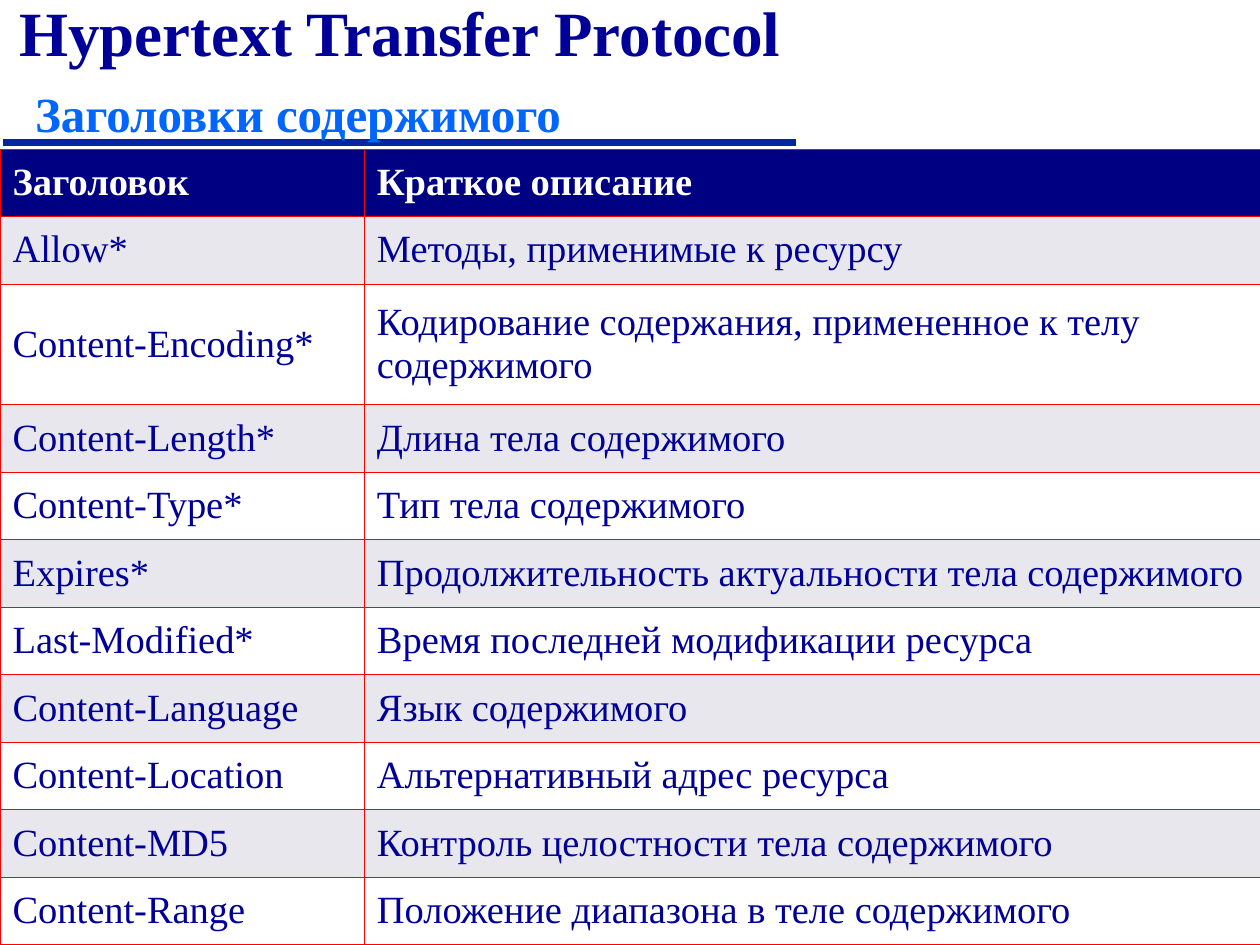
from lxml import etree
from pptx import Presentation
from pptx.dml.color import RGBColor
from pptx.enum import shapes, text
from pptx.oxml import ns
from pptx.util import Pt

FONT = "Times New Roman"
COLORS = {
    "title": "000099",
    "subtitle": "0066FF",
    "rule": "00279F",
    "header": "000082",
    "header_text": "FFFFFF",
    "band": "E7E7ED",
    "plain": "FFFFFF",
    "border": "FF0000",
}
BORDER_WIDTH = Pt(0.23)
HEADERS = [
    ("Заголовок", "Краткое описание"),
    ("Allow*", "Методы, применимые к ресурсу"),
    ("Content-Encoding*", "Кодирование содержания, примененное к телу\nсодержимого"),
    ("Content-Length*", "Длина тела содержимого"),
    ("Content-Type*", "Тип тела содержимого"),
    ("Expires*", "Продолжительность актуальности тела содержимого"),
    ("Last-Modified*", "Время последней модификации ресурса"),
    ("Content-Language", "Язык содержимого"),
    ("Content-Location", "Альтернативный адрес ресурса"),
    ("Content-MD5", "Контроль целостности тела содержимого"),
    ("Content-Range", "Положение диапазона в теле содержимого"),
]


def color(name):
    return RGBColor.from_string(COLORS[name])


def add_run(paragraph, wording, size, color_name, bold=False):
    run = paragraph.add_run()
    run.text = wording
    run.font.name = FONT
    run.font.size = Pt(size)
    run.font.bold = bold
    run.font.color.rgb = color(color_name)


def add_rule(slide, left, top, width):
    line = slide.shapes.add_connector(
        shapes.MSO_CONNECTOR.STRAIGHT, Pt(left), Pt(top), Pt(left + width), Pt(top))
    line.line.color.rgb = color("rule")
    line.line.width = Pt(4)
    etree.SubElement(line._element.spPr, ns.qn("a:effectLst"))


def add_title(slide, left, top, width, height):
    box = slide.shapes.add_textbox(Pt(left), Pt(top), Pt(width), Pt(height))
    frame = box.text_frame
    frame.word_wrap = True
    frame.vertical_anchor = text.MSO_ANCHOR.BOTTOM
    paragraph = frame.paragraphs[0]
    add_run(paragraph, "Hypertext Transfer Protocol", 36, "title", bold=True)
    paragraph.add_line_break()
    add_run(paragraph, " ", 36, "title", bold=True)
    add_run(paragraph, "Заголовки содержимого", 28, "subtitle", bold=True)


def set_borders(cell):
    properties = cell._tc.get_or_add_tcPr()
    for index, side in enumerate(("lnL", "lnR", "lnT", "lnB")):
        line = etree.Element(ns.qn(f"a:{side}"), w=str(BORDER_WIDTH))
        fill = etree.SubElement(line, ns.qn("a:solidFill"))
        etree.SubElement(fill, ns.qn("a:srgbClr"), val=COLORS["border"])
        properties.insert(index, line)


def fill_cell(cell, wording, fill_name, text_name, bold):
    cell.fill.solid()
    cell.fill.fore_color.rgb = color(fill_name)
    set_borders(cell)
    cell.vertical_anchor = text.MSO_ANCHOR.MIDDLE
    frame = cell.text_frame
    for index, line in enumerate(wording.split("\n")):
        paragraph = frame.add_paragraph() if index else frame.paragraphs[0]
        add_run(paragraph, line, 22, text_name, bold)


def add_header_table(slide, left, top, width, height):
    frame = slide.shapes.add_table(
        len(HEADERS), 2, Pt(left), Pt(top), Pt(width), Pt(height))
    table = frame.table
    name_width, tall_row = 208.2, 69
    table.columns[0].width = Pt(name_width)
    table.columns[1].width = Pt(width - name_width)
    row_height = (height - tall_row) / (len(HEADERS) - 1)

    for row, entry in enumerate(HEADERS):
        is_tall = "\n" in entry[1]
        table.rows[row].height = Pt(tall_row if is_tall else row_height)
        if row == 0:
            style = ("header", "header_text", True)
        else:
            style = ("band" if row % 2 else "plain", "title", False)
        for column, wording in enumerate(entry):
            fill_cell(table.cell(row, column), wording, *style)


def main():
    presentation = Presentation()
    presentation.slide_width = Pt(720)
    presentation.slide_height = Pt(540)
    slide = presentation.slides.add_slide(presentation.slide_layouts[6])

    # Rule under the heading
    add_rule(slide, 2, 81.2, 453)
    # Heading
    add_title(slide, 4, 0, 636.5, 86.4)
    # Table of content headers
    add_header_table(slide, 0, 85, 720, 455)

    presentation.save("out.pptx")


if __name__ == "__main__":
    main()
